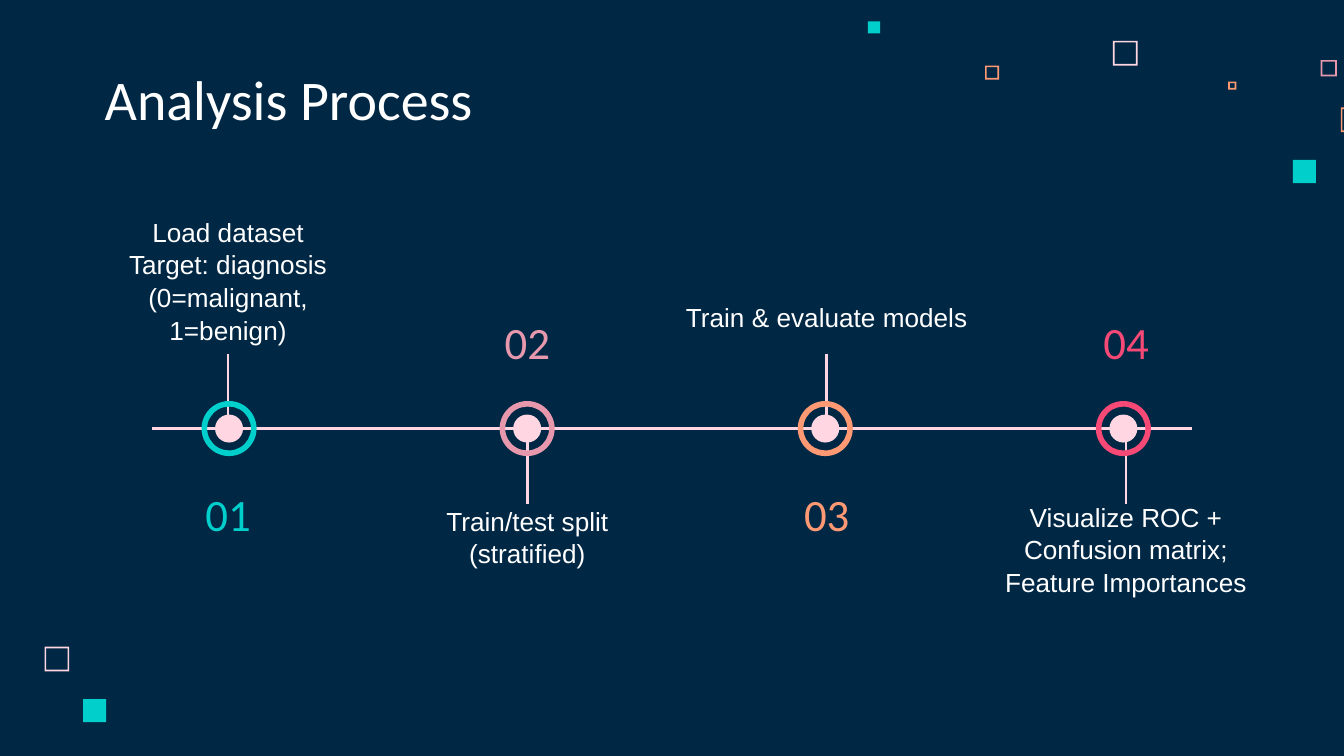
from lxml.etree import SubElement
from pptx import Presentation
from pptx.dml.color import RGBColor
from pptx.enum.shapes import MSO_CONNECTOR, MSO_SHAPE
from pptx.enum.text import MSO_ANCHOR, PP_ALIGN
from pptx.oxml.ns import qn
from pptx.util import Pt

COLORS = {
    "navy": "002845",
    "white": "FFFFFF",
    "pink": "FFD6E1",
    "teal": "00CFCC",
    "rose": "E898AC",
    "orange": "FF9973",
    "red": "F64975",
}

FRAMES = [
    (596.2, 21.9, 13.2, "pink"),
    (707.5, 32.2, 8.7, "rose"),
    (658, 43.7, 4.3, "orange"),
    (718.3, 57.6, 13.2, "orange"),
    (527.7, 35.1, 7.5, "orange"),
    (23.9, 346.5, 13.2, "pink"),
]
SQUARES = [(692.6, 85.7, 12.4), (465, 11.4, 6.5), (44.5, 374.5, 12.4)]

STEPS = [
    ("teal", "Load dataset\nTarget: diagnosis (0=malignant, 1=benign)", 141.1, 148.3),
    ("rose", "Train/test split (stratified)", 262.8, 166.3),
    ("orange", "Train & evaluate models", 134.6, 166.3),
    ("red", "Visualize ROC + Confusion matrix;\vFeature Importances", 260.6, 148.3),
]
AXIS_Y = 229.6
FRAME_THICKNESS = 0.9


class TimelineSlide:
    """Style and drawing methods for the timeline slide, in points."""

    heading_font = "Calibri"
    body_font = "Arial"
    inset = 7.2
    line_width = 1.5

    def __init__(self, presentation):
        self.slide = presentation.slides.add_slide(presentation.slide_layouts[6])
        background = self.slide.background.fill
        background.solid()
        background.fore_color.rgb = self.color("navy")

    def color(self, name):
        return RGBColor.from_string(COLORS[name])

    def shape(self, kind, left, top, size, color, adjustment=None):
        shape = self.slide.shapes.add_shape(kind, Pt(left), Pt(top), Pt(size), Pt(size))
        shape.shadow.inherit = False
        shape.fill.solid()
        shape.fill.fore_color.rgb = self.color(color)
        shape.line.fill.background()
        if adjustment is not None:
            shape.adjustments[0] = adjustment

    def marker(self, center_x, color):
        for kind, size, fill, adjustment in (
            (MSO_SHAPE.OVAL, 15, "pink", None),
            (MSO_SHAPE.DONUT, 29.5, color, 0.102),
        ):
            self.shape(kind, center_x - size / 2, AXIS_Y - size / 2, size, fill, adjustment)

    def line(self, start_x, start_y, end_x, end_y):
        connector = self.slide.shapes.add_connector(
            MSO_CONNECTOR.STRAIGHT, Pt(start_x), Pt(start_y), Pt(end_x), Pt(end_y)
        )
        connector.line.color.rgb = self.color("pink")
        connector.line.width = Pt(self.line_width)
        SubElement(connector._element.spPr, qn("a:effectLst"))

    def text(self, text, box, font, size, color="white", anchor=MSO_ANCHOR.MIDDLE,
             alignment=PP_ALIGN.CENTER, spacing=1.0):
        frame = self.slide.shapes.add_textbox(*map(Pt, box)).text_frame
        frame.word_wrap = True
        frame.vertical_anchor = anchor
        frame.margin_left = frame.margin_right = Pt(self.inset)
        frame.margin_top = frame.margin_bottom = Pt(self.inset)
        frame.text = text
        for paragraph in frame.paragraphs:
            paragraph.alignment = alignment
            paragraph.line_spacing = spacing
            for run in paragraph.runs:
                run.font.name = font
                run.font.size = Pt(size)
                run.font.color.rgb = self.color(color)

    def caption(self, text, center_x, top, width, anchor):
        box = (center_x - width / 2, top, width, 51.1)
        self.text(text, box, self.body_font, 14, anchor=anchor, spacing=1.04)

    def number(self, text, center_x, top, color):
        box = (center_x - 50.75, top, 101.5, 33.8)
        self.text(text, box, self.heading_font, 24, color)


def main():
    presentation = Presentation()
    presentation.slide_width = Pt(720)
    presentation.slide_height = Pt(405)
    timeline = TimelineSlide(presentation)

    for left, top, size, color in FRAMES:
        timeline.shape(MSO_SHAPE.FRAME, left, top, size, color, FRAME_THICKNESS / size)
    for left, top, size in SQUARES:
        timeline.shape(MSO_SHAPE.RECTANGLE, left, top, size, "teal")

    stems = [122.2 + 160.35 * index for index in range(len(STEPS))]
    for index, stem_x in enumerate(stems):
        top = 234.5 if index % 2 else 189.4
        timeline.line(stem_x, top, stem_x, top + 35.6)
    timeline.text("Analysis Process", (49, 32.4, 372.2, 45.4), timeline.heading_font, 30,
                  anchor=MSO_ANCHOR.BOTTOM, alignment=PP_ALIGN.LEFT)
    timeline.line(81.4, AXIS_Y, 638.6, AXIS_Y)

    for index, (color, *_) in enumerate(STEPS):
        timeline.marker(122.7 + 159.7 * index, color)
    for index, (color, caption, top, width) in enumerate(STEPS):
        below = index % 2
        anchor = MSO_ANCHOR.TOP if below else MSO_ANCHOR.BOTTOM
        timeline.caption(caption, stems[index], top, width, anchor)
        timeline.number(f"{index + 1:02}", stems[index], 166.3 if below else 258.5, color)

    presentation.save("out.pptx")


if __name__ == "__main__":
    main()
